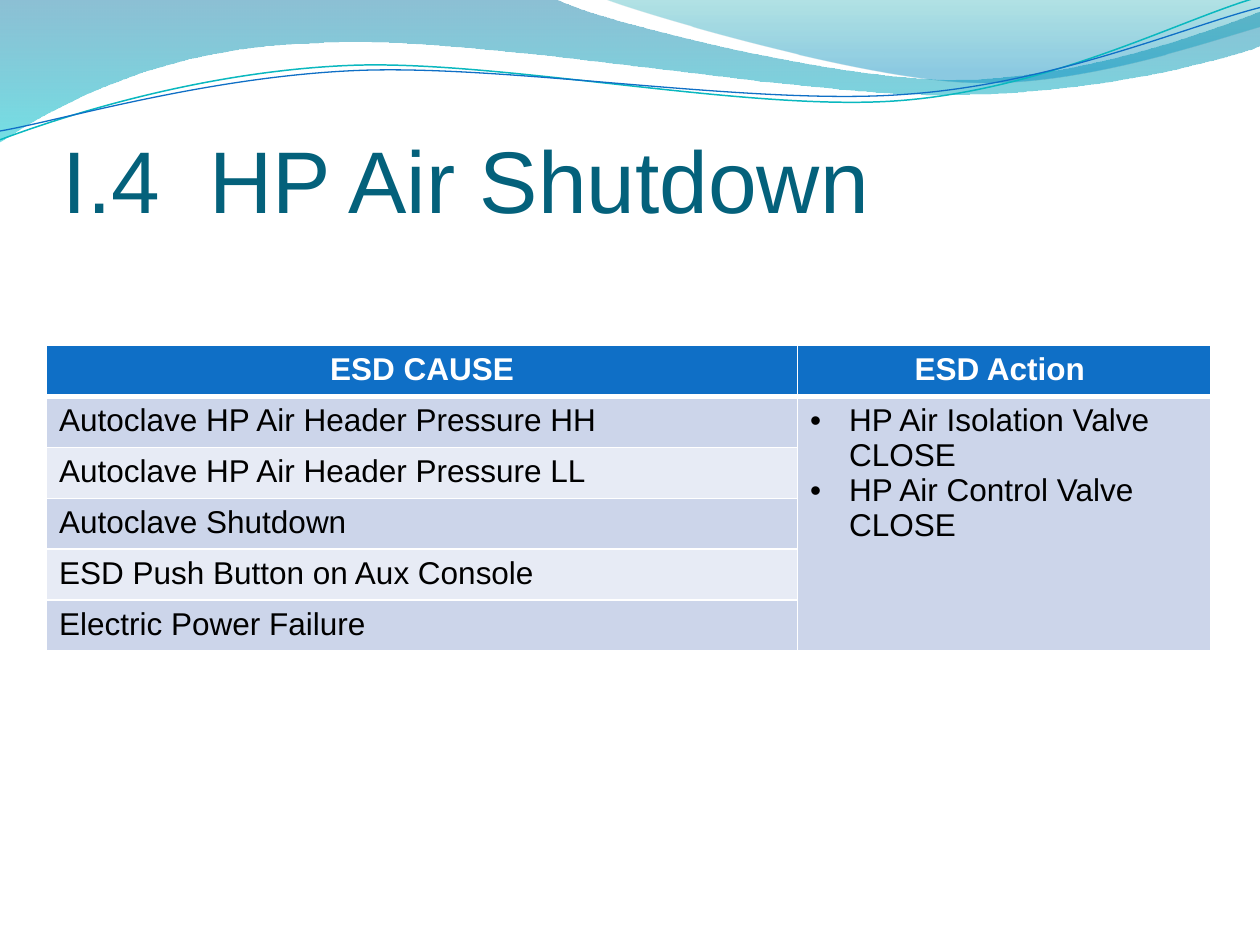
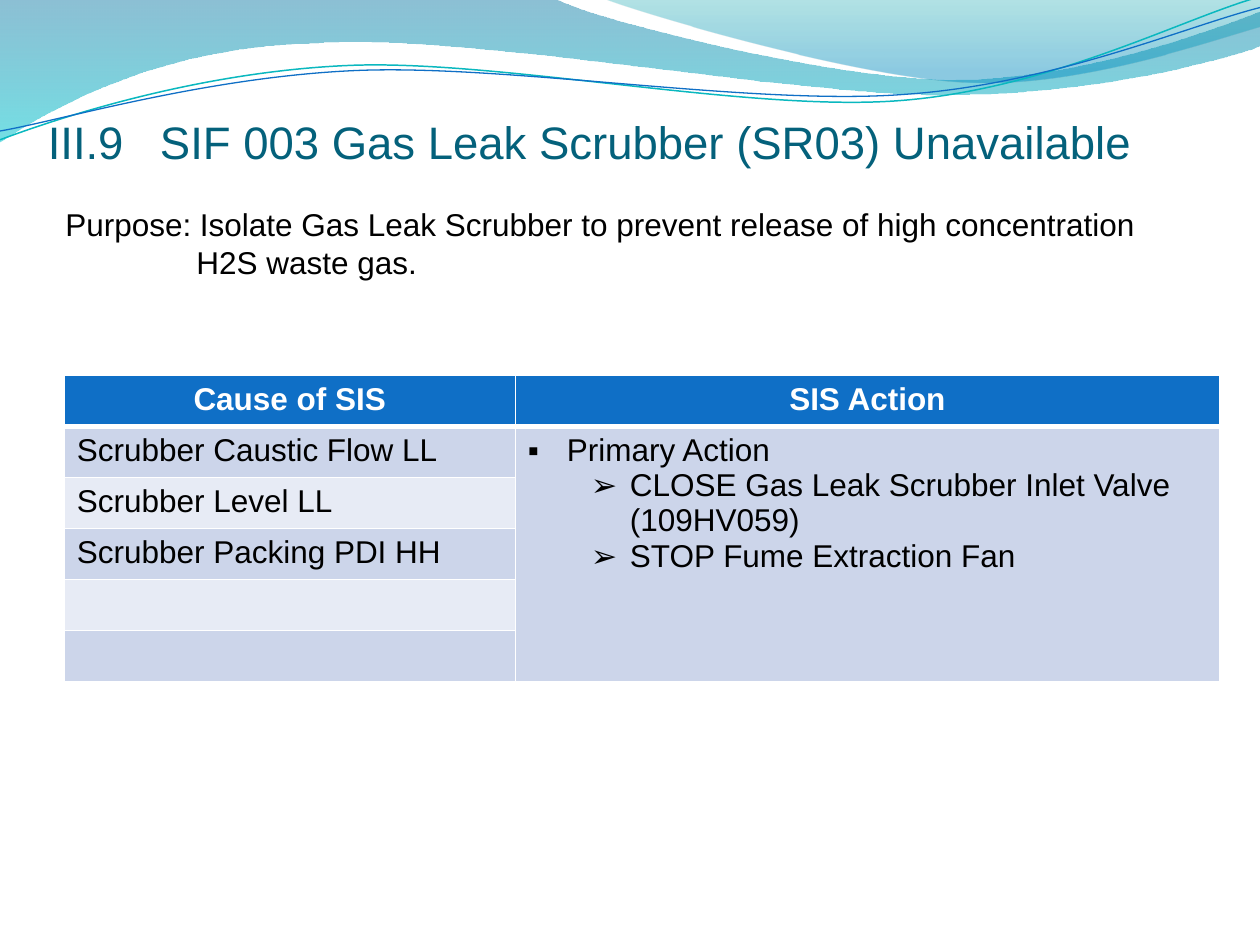
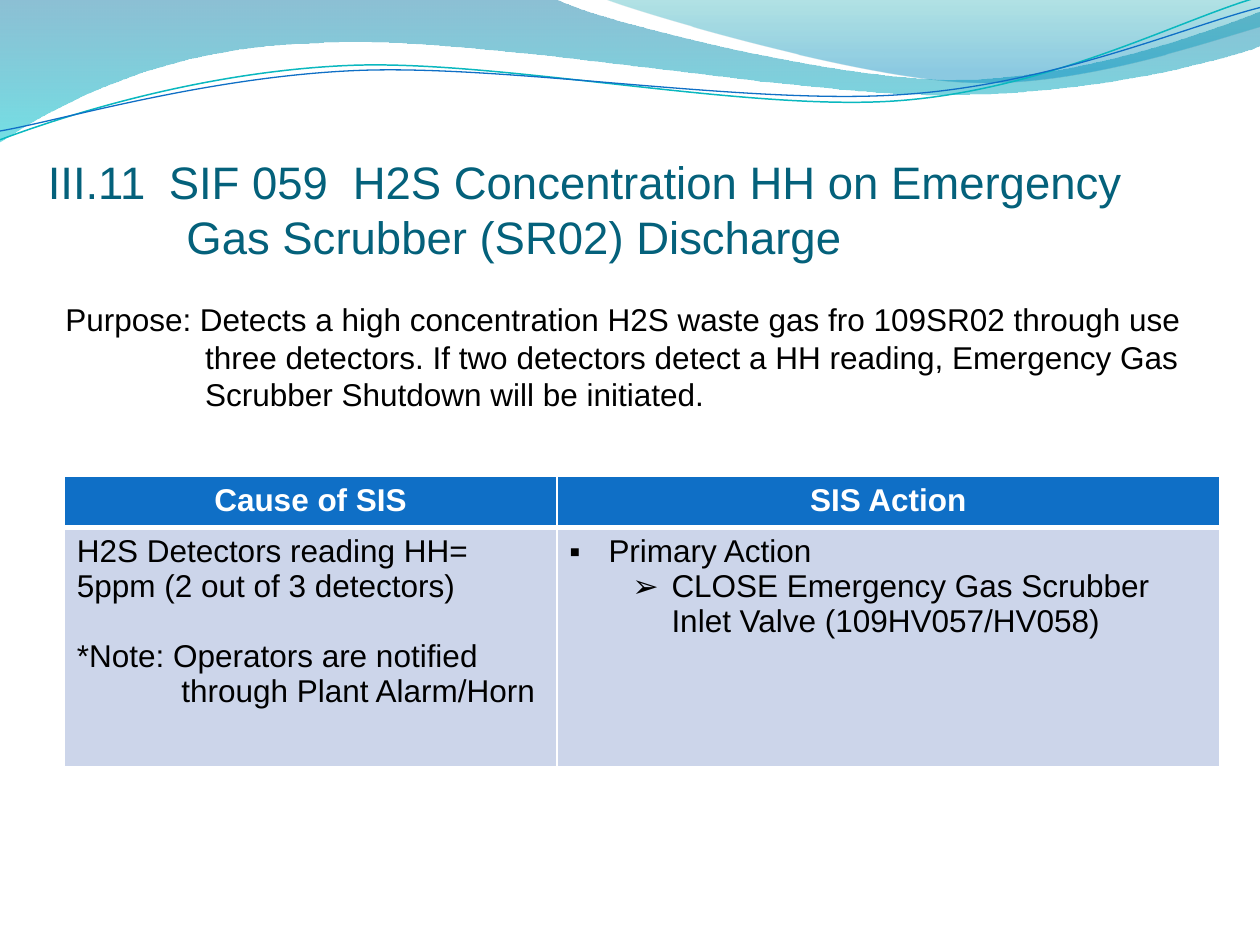
"""Builds three shutdown cause-and-action slides under a wave banner."""
from pptx import Presentation
from pptx import util as u
from pptx.dml.color import RGBColor
from pptx.enum import text
from pptx.oxml import ns
from lxml import etree

FONT = "Arial"
TITLE, WHITE, BLACK = "04617B", "FFFFFF", "000000"
HEADER, BAND_DARK, BAND_LIGHT = "0F6FC6", "CCD5EA", "E7EBF5"
ROW = 2.43 / 6

LEFT_WAVE = [(0, 0), (4.4, -0.01),
             (4.76, 0.17, 6.64, 0.63, 7.58, 0.63), (8.53, 0.63, 9.58, 0.26, 10, 0.09),
             (10.01, 0.36),
             (9.83, 0.44, 8.7, 0.76, 7.46, 0.75), (6.22, 0.75, 3.82, 0.28, 2.57, 0.34),
             (1.29, 0.36, 0.46, 0.83, -0.01, 1.13)]
RIGHT_WAVE = [(4.79, -0.01), (5.09, 0.11, 6.82, 0.62, 7.69, 0.65),
              (8.56, 0.69, 9.61, 0.32, 10, 0.21), (10, 0)]
TEAL_LINE = [(0, 1.11), (0.48, 0.93, 1.58, 0.57, 2.77, 0.52),
             (3.95, 0.47, 5.93, 0.89, 7.13, 0.8), (8.33, 0.71, 9.38, 0.15, 9.98, -0.02)]
BLUE_LINE = [(0, 1.04), (0.47, 0.96, 1.64, 0.61, 2.83, 0.56),
             (4.03, 0.51, 5.97, 0.84, 7.17, 0.75), (8.36, 0.67, 9.41, 0.21, 10, 0.06)]


def rgb(value):
    """Turn a hex string into a colour."""
    return RGBColor.from_string(value)


def sub(parent, tag, **attrs):
    """Append a DrawingML element."""
    return etree.SubElement(parent, ns.qn(tag), attrs)


def add_outline(s, path, close):
    """Add a freeform of straight (x, y) and cubic (x1, y1, x2, y2, x, y) segments."""
    points = [(u.Inches(seg[i]), u.Inches(seg[i + 1]))
              for seg in path for i in range(0, len(seg), 2)]
    builder = s.shapes.build_freeform(*points[0])
    builder.add_line_segments(points[1:], close=close)
    sp = builder.convert_to_shape()
    sp.shadow.inherit = False
    lines = iter(list(sp._element.spPr.iter(ns.qn("a:lnTo"))))
    for seg in path[1:]:
        first = next(lines)
        if len(seg) == 6:
            first.tag = ns.qn("a:cubicBezTo")
            for line in (next(lines), next(lines)):
                first.append(line[0])
                line.getparent().remove(line)
    return sp


def add_wave(s, path, stops):
    """Add a filled wave with a translucent vertical gradient."""
    sp = add_outline(s, path, True)
    sp.line.fill.background()
    sp.fill.gradient()
    sp.fill.gradient_angle = 270
    for stop, (position, color, _) in zip(sp.fill.gradient_stops, stops):
        stop.position = position
        stop.color.rgb = rgb(color)
    for node, (_, _, opacity) in zip(sp._element.spPr.iter(ns.qn("a:srgbClr")), stops):
        sub(node, "a:alpha", val=str(opacity * 1000))


def add_curve(s, path, color, width):
    """Add an open curved line."""
    sp = add_outline(s, path, False)
    sp.fill.background()
    sp.line.color.rgb = rgb(color)
    sp.line.width = u.Pt(width)


def add_banner(s):
    """Add the waves at the top of a slide."""
    add_wave(s, LEFT_WAVE, [(0, "0074A1", 45), (1, "00C6CF", 55)])
    add_wave(s, RIGHT_WAVE, [(0, "00A1A9", 30), (0.8, "008BBF", 45)])
    add_curve(s, TEAL_LINE, "0AB8BF", 0.85)
    add_curve(s, BLUE_LINE, HEADER, 0.75)


def write(p, words, size=18, color=BLACK, bold=False, align=None, indent=0, hang=0,
          bullet=None, tabs=(), before=0):
    """Write one formatted paragraph."""
    pPr = p._p.get_or_add_pPr()
    if indent:
        pPr.set("marL", str(u.Inches(indent)))
        pPr.set("indent", str(u.Inches(-hang)))
    if bullet:
        sub(pPr, "a:buFont", typeface=FONT)
        sub(pPr, "a:buChar", char=bullet)
    if tabs:
        tab_list = sub(pPr, "a:tabLst")
        for tab in tabs:
            sub(tab_list, "a:tab", pos=str(u.Inches(tab)), algn="l")
    if align is not None:
        p.alignment = align
    if before:
        p.space_before = u.Pt(before)
    r = p.add_run()
    r.text = words
    r.font.name, r.font.size, r.font.bold = FONT, u.Pt(size), bold
    r.font.color.rgb = rgb(color)


def write_all(tf, items, **fmt):
    """Fill a text frame with (words, format) paragraphs."""
    for i, (words, own) in enumerate(items):
        p = tf.paragraphs[0] if i == 0 else tf.add_paragraph()
        write(p, words, **{**fmt, **own})


def plain(words, **fmt):
    """Describe a paragraph."""
    return words, fmt


def dot(words, mark="•"):
    """Describe a first-level bullet."""
    return plain(words, bullet=mark, indent=0.31, hang=0.31)


def arrow(words):
    """Describe a second-level bullet."""
    return plain(words, bullet="➢", indent=0.81, hang=0.31)


def add_text(s, box, items, **fmt):
    """Add a wrapping text box."""
    tf = s.shapes.add_textbox(*map(u.Inches, box)).text_frame
    tf.word_wrap = True
    write_all(tf, items, **fmt)
    return tf


def add_title(s, box, items, size=26):
    """Add a bottom-anchored title."""
    tf = add_text(s, box, items, size=size, color=TITLE)
    tf.vertical_anchor = text.MSO_ANCHOR.BOTTOM
    tf.margin_left = tf.margin_right = tf.margin_bottom = 0


def add_purpose(s, top, height, first, *rest, indent):
    """Add the purpose statement with its later lines indented."""
    items = [plain(first)] + [plain(line, indent=indent) for line in rest]
    tf = add_text(s, (0.42, top, 9.33, height), items)
    tf.auto_size = text.MSO_AUTO_SIZE.SHAPE_TO_FIT_TEXT


def style_cell(cell, color, bottom=1):
    """Fill a cell and give it white borders."""
    cell.fill.solid()
    cell.fill.fore_color.rgb = rgb(color)
    tcPr = cell._tc.get_or_add_tcPr()
    for i, (side, width) in enumerate((("L", 1), ("R", 1), ("T", 1), ("B", bottom))):
        ln = sub(tcPr, f"a:ln{side}", w=str(u.Pt(width)))
        sub(sub(ln, "a:solidFill"), "a:srgbClr", val=WHITE)
        tcPr.insert(i, ln)


def add_cause_table(s, left, top, widths, heads, causes, actions, body_row=ROW):
    """Add a table of causes beside one merged cell of actions."""
    heights = [ROW] + [body_row] * len(causes)
    frame = s.shapes.add_table(len(heights), 2, *map(
        u.Inches, (left, top, sum(widths), sum(heights))))
    table = frame.table
    table.first_row = table.horz_banding = False
    for column, width in zip(table.columns, widths):
        column.width = u.Inches(width)
    for row, height in zip(table.rows, heights):
        row.height = u.Inches(height)
    for cell, head in zip(table.rows[0].cells, heads):
        style_cell(cell, HEADER, bottom=3)
        write_all(cell.text_frame, [plain(head)], color=WHITE, bold=True,
                  align=text.PP_ALIGN.CENTER)
    for i, cause in enumerate(causes, 1):
        style_cell(table.cell(i, 0), BAND_DARK if i % 2 else BAND_LIGHT)
        style_cell(table.cell(i, 1), BAND_DARK)
        write_all(table.cell(i, 0).text_frame, cause)
    if len(causes) > 1:
        table.cell(1, 1).merge(table.cell(len(causes), 1))
    write_all(table.cell(1, 1).text_frame, actions)


def add_slide(prs):
    """Add a blank slide with the banner."""
    s = prs.slides.add_slide(prs.slide_layouts[6])
    add_banner(s)
    return s


def air_shutdown(prs):
    """Build the HP air shutdown slide."""
    s = add_slide(prs)
    add_title(s, (0.5, 0.58, 9, 1.25), [plain("I.4\tHP Air Shutdown", tabs=[1.16])], size=50)
    causes = ["Autoclave HP Air Header Pressure HH", "Autoclave HP Air Header Pressure LL",
              "Autoclave Shutdown", "ESD Push Button on Aux Console",
              "Electric Power Failure"]
    add_cause_table(s, 0.37, 2.74, (5.96, 3.28), ("ESD CAUSE", "ESD Action "),
                    [[plain(c)] for c in causes],
                    [dot("HP Air Isolation Valve CLOSE"), dot("HP Air Control Valve CLOSE")])


def scrubber_unavailable(prs):
    """Build the gas leak scrubber slide."""
    s = add_slide(prs)
    add_title(s, (0.38, 0.51, 9.33, 0.83),
              [plain("III.9\tSIF 003 Gas Leak Scrubber (SR03) Unavailable", tabs=[0.89])])
    add_purpose(s, 1.58, 0.71,
                "Purpose: Isolate Gas Leak Scrubber to prevent release of high concentration",
                "H2S waste gas.", indent=1.04)
    causes = ["Scrubber Caustic Flow LL", "Scrubber Level LL", "Scrubber Packing PDI HH"]
    add_cause_table(s, 0.51, 2.98, (3.58, 5.59), ("Cause of SIS", "SIS Action"),
                    [[plain(c)] for c in causes] + [[], []],
                    [dot("Primary Action", "▪"),
                     arrow("CLOSE Gas Leak Scrubber Inlet Valve (109HV059)"),
                     arrow("STOP Fume Extraction Fan")])


def discharge_concentration(prs):
    """Build the emergency gas scrubber discharge slide."""
    s = add_slide(prs)
    add_title(s, (0.38, 1.26, 9.33, 0.83),
              [plain("III.11\tSIF 059\tH2S Concentration HH on Emergency", tabs=[0.96, 2.42]),
               plain("Gas Scrubber (SR02) Discharge", indent=1.1)])
    add_purpose(s, 2.33, 1.01,
                "Purpose: Detects a high concentration H2S waste gas fro 109SR02 through use",
                "three detectors. If two detectors detect a HH reading, Emergency Gas",
                "Scrubber Shutdown will be initiated.", indent=1.11)
    cause = [plain("H2S Detectors reading HH= 5ppm (2 out of 3 detectors)"),
             plain("*Note: Operators are notified", before=20),
             plain("through Plant Alarm/Horn", indent=0.83)]
    add_cause_table(s, 0.51, 3.78, (3.91, 5.26), ("Cause of SIS", "SIS Action"), [cause],
                    [dot("Primary Action", "▪"),
                     arrow("CLOSE Emergency Gas Scrubber Inlet Valve (109HV057/HV058)")],
                    body_row=1.9)


def main():
    """Build and save the presentation."""
    prs = Presentation()
    prs.slide_width, prs.slide_height = u.Inches(10), u.Inches(7.5)
    air_shutdown(prs)
    scrubber_unavailable(prs)
    discharge_concentration(prs)
    prs.save("out.pptx")


if __name__ == "__main__":
    main()
